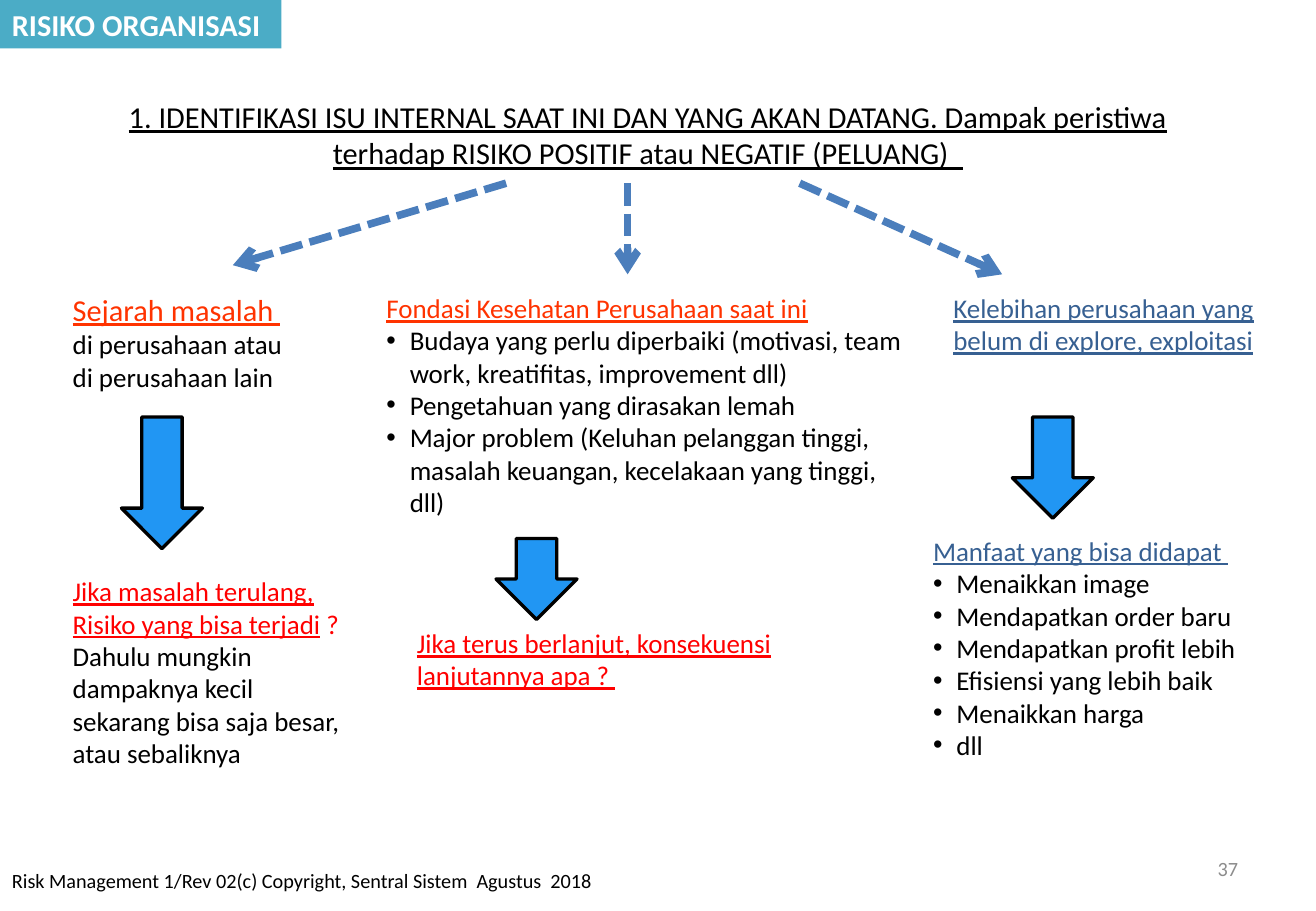
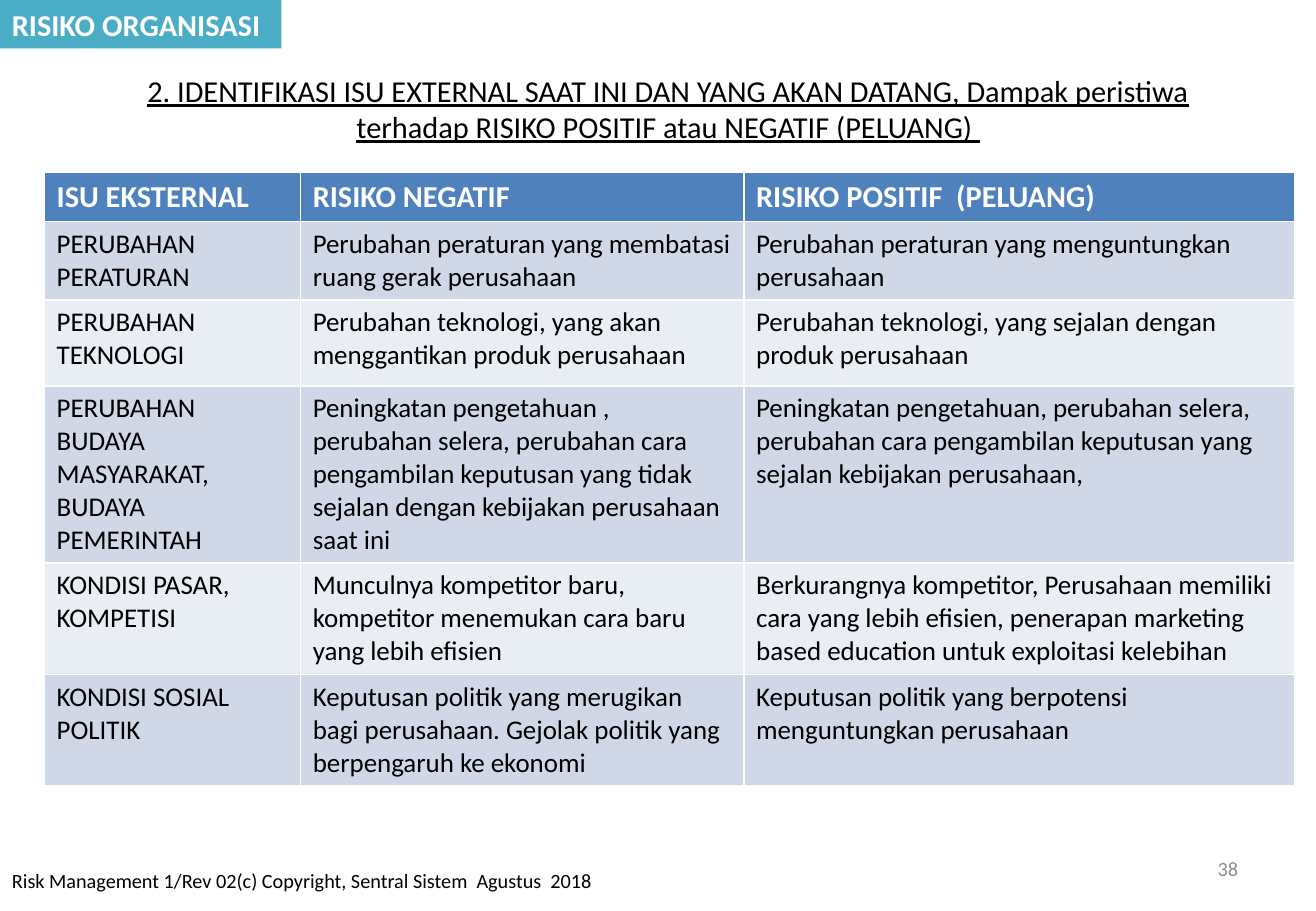
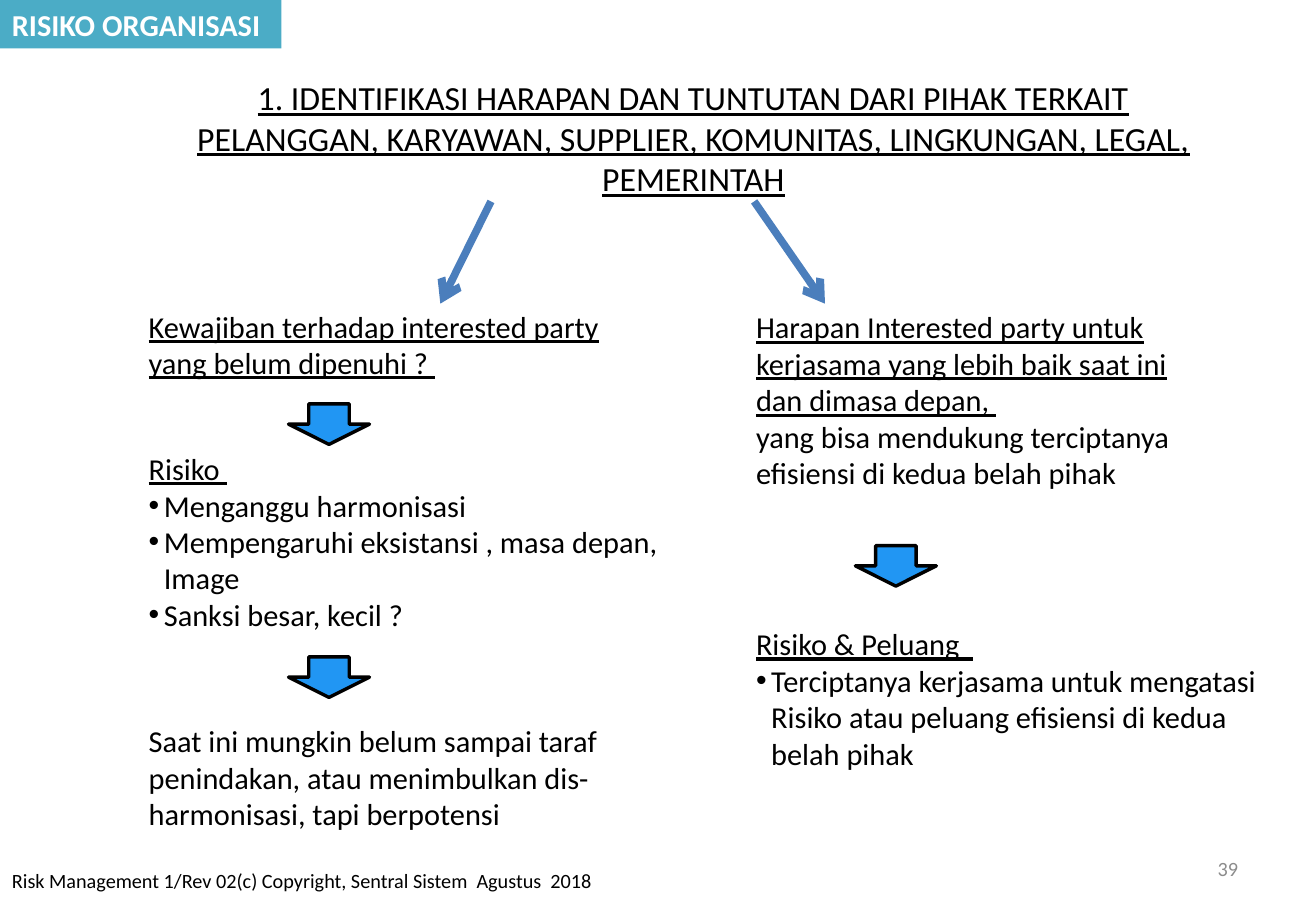
from dataclasses import dataclass

from lxml.etree import SubElement
from pptx import Presentation
from pptx.dml.color import RGBColor
from pptx.enum.dml import MSO_LINE
from pptx.enum.shapes import MSO_CONNECTOR, MSO_SHAPE
from pptx.enum.text import MSO_ANCHOR, MSO_AUTO_SIZE, PP_ALIGN
from pptx.oxml.ns import qn
from pptx.util import Emu, Pt

EMU_PER_PX = 7620  # 120 px to the inch
SLIDE_WIDTH, SLIDE_HEIGHT = 1300, 900
FONT = "Calibri"
BLACK, WHITE, GREY = "000000", "FFFFFF", "8C8C8C"
ORANGE, RED, NAVY = "FF3300", "FF0000", "376092"
BAND_TEAL, ARROW_BLUE, CONNECTOR_BLUE = "4BACC6", "2196F3", "4B7EBC"
HEADER_BLUE, ROW_FILLS = "4F81BD", ("E9EDF4", "D0D8E8")
BAND_TEXT = "RISIKO ORGANISASI"
FOOTER_TEXT = "Risk Management 1/Rev 02(c) Copyright, Sentral Sistem  Agustus  2018"
ARROW_WIDTH = 80


@dataclass(frozen=True)
class Box:
    left: int
    top: int
    width: int
    height: int

    def emu(self) -> tuple:
        return tuple(px(n) for n in (self.left, self.top, self.width, self.height))


@dataclass(frozen=True)
class Line:
    """One paragraph; the suffix is a second run without underline."""
    text: str
    color: str = BLACK
    size: int = 16
    underline: bool = False
    indent: int = 0
    suffix: str = ""


@dataclass(frozen=True)
class TextBlock:
    box: Box
    lines: list


@dataclass(frozen=True)
class DownArrow:
    left: int
    top: int
    height: int = 40


@dataclass(frozen=True)
class Pointer:
    start: tuple
    end: tuple


def px(length: int) -> Emu:
    return Emu(length * EMU_PER_PX)


def color_of(hex_color: str) -> RGBColor:
    return RGBColor.from_string(hex_color)


def add_run(paragraph, text: str, *, size: int = 16, color: str = BLACK,
            bold: bool = False, underline: bool = False) -> None:
    run = paragraph.add_run()
    run.text = text
    font = run.font
    font.name, font.size = FONT, Pt(size)
    font.bold, font.underline = bold, underline
    font.color.rgb = color_of(color)


def set_text(frame, text: str, *, align=PP_ALIGN.LEFT, anchor=MSO_ANCHOR.TOP,
             wrap: bool = True, **run_format) -> None:
    frame.word_wrap, frame.auto_size = wrap, MSO_AUTO_SIZE.NONE
    frame.vertical_anchor = anchor
    frame.paragraphs[0].alignment = align
    add_run(frame.paragraphs[0], text, **run_format)


def set_bullet(paragraph, indent: int) -> None:
    properties = paragraph._p.get_or_add_pPr()
    properties.set("marL", str(px(indent)))
    properties.set("indent", str(-px(indent)))
    SubElement(properties, qn("a:buFont")).set("typeface", "Arial")
    SubElement(properties, qn("a:buChar")).set("char", "•")


def add_text_block(slide, block: TextBlock) -> None:
    frame = slide.shapes.add_textbox(*block.box.emu()).text_frame
    frame.word_wrap = True
    for index, line in enumerate(block.lines):
        paragraph = frame.add_paragraph() if index else frame.paragraphs[0]
        if line.indent:
            set_bullet(paragraph, line.indent)
        add_run(paragraph, line.text, size=line.size, color=line.color,
                underline=line.underline)
        if line.suffix:
            add_run(paragraph, line.suffix, size=line.size, color=line.color)


def add_filled_shape(slide, kind, box: Box, fill: str):
    shape = slide.shapes.add_shape(kind, *box.emu())
    shape.shadow.inherit = False
    shape.fill.solid()
    shape.fill.fore_color.rgb = color_of(fill)
    return shape


def add_down_arrow(slide, arrow: DownArrow) -> None:
    box = Box(arrow.left, arrow.top, ARROW_WIDTH, arrow.height)
    shape = add_filled_shape(slide, MSO_SHAPE.DOWN_ARROW, box, ARROW_BLUE)
    shape.line.color.rgb = color_of(BLACK)
    shape.line.width = Pt(2)


def add_pointer(slide, pointer: Pointer, dashed: bool) -> None:
    ends = [px(n) for n in (*pointer.start, *pointer.end)]
    connector = slide.shapes.add_connector(MSO_CONNECTOR.STRAIGHT, *ends)
    connector.line.color.rgb = color_of(CONNECTOR_BLUE)
    connector.line.width = Pt(4.5)
    if dashed:
        connector.line.dash_style = MSO_LINE.SQUARE_DOT
    SubElement(connector.line._get_or_add_ln(), qn("a:tailEnd")).set("type", "arrow")
    SubElement(connector._element.spPr, qn("a:effectLst"))


def add_base_slide(presentation, number: int, title: str, title_box: Box,
                   title_size: int = 18):
    """Add a slide with title, band, footer and page number."""
    slide = presentation.slides.add_slide(presentation.slide_layouts[5])
    heading = slide.shapes.title
    heading.left, heading.top, heading.width, heading.height = title_box.emu()
    set_text(heading.text_frame, title, align=PP_ALIGN.CENTER, size=title_size,
             underline=True)
    band = add_filled_shape(slide, MSO_SHAPE.RECTANGLE, Box(0, 0, 278, 48), BAND_TEAL)
    band.line.fill.background()
    set_text(band.text_frame, BAND_TEXT, wrap=False, size=18, color=WHITE, bold=True)
    footer = slide.shapes.add_textbox(*Box(0, 852, 770, 48).emu())
    set_text(footer.text_frame, FOOTER_TEXT, size=12)
    page = slide.shapes.add_textbox(*Box(931, 834, 304, 48).emu())
    set_text(page.text_frame, str(number), align=PP_ALIGN.RIGHT,
             anchor=MSO_ANCHOR.MIDDLE, size=12, color=GREY)
    return slide


def add_diagram(slide, blocks: list, arrows: list, pointers: list,
                dashed: bool = False) -> None:
    for block in blocks:
        add_text_block(slide, block)
    for arrow in arrows:
        add_down_arrow(slide, arrow)
    for pointer in pointers:
        add_pointer(slide, pointer, dashed)


def add_risk_table(slide, rows: list, left: int, top: int, widths: list,
                   heights: list) -> None:
    box = Box(left, top, sum(widths), sum(heights))
    table = slide.shapes.add_table(len(rows), len(widths), *box.emu()).table
    for column, width in zip(table.columns, widths):
        column.width = px(width)
    for row, height in zip(table.rows, heights):
        row.height = px(height)
    for row_index, texts in enumerate(rows):
        header = row_index == 0
        fill = HEADER_BLUE if header else ROW_FILLS[row_index % 2]
        for column_index, text in enumerate(texts):
            cell = table.cell(row_index, column_index)
            cell.fill.solid()
            cell.fill.fore_color.rgb = color_of(fill)
            add_run(cell.text_frame.paragraphs[0], text, size=18 if header else 16,
                    color=WHITE if header else BLACK, bold=header)


def heading(text: str, color: str = BLACK, size: int = 16, suffix: str = "") -> Line:
    return Line(text, color, size, underline=True, suffix=suffix)


def bullets(texts: list, size: int, indent: int) -> list:
    return [Line(text, size=size, indent=indent) for text in texts]


def build_internal_issues(presentation) -> None:
    slide = add_base_slide(
        presentation, 37,
        "1. IDENTIFIKASI ISU INTERNAL SAAT INI DAN YANG AKAN DATANG. Dampak peristiwa "
        "terhadap RISIKO POSITIF atau NEGATIF (PELUANG)  ", Box(80, 91, 1120, 85))
    blocks = [
        TextBlock(Box(60, 282, 300, 113), [
            heading("Sejarah masalah ", ORANGE, 18),
            Line("di perusahaan atau"),
            Line("di perusahaan lain")]),
        TextBlock(Box(60, 562, 290, 206), [
            heading("Jika masalah terulang, Risiko yang bisa terjadi", RED, suffix=" ?"),
            Line("Dahulu mungkin dampaknya kecil sekarang bisa saja besar, "
                 "atau sebaliknya")]),
        TextBlock(Box(370, 282, 540, 240), [
            heading("Fondasi Kesehatan Perusahaan saat ini", ORANGE),
            *bullets([
                "Budaya yang perlu diperbaiki (motivasi, team work, kreatifitas, "
                "improvement dll)",
                "Pengetahuan yang dirasakan lemah",
                "Major problem (Keluhan pelanggan tinggi, masalah keuangan, "
                "kecelakaan yang tinggi, dll)"], 16, 23)]),
        TextBlock(Box(400, 613, 450, 109), [
            heading("Jika terus berlanjut, konsekuensi lanjutannya apa ? ", RED)]),
        TextBlock(Box(930, 282, 330, 77), [
            heading("Kelebihan perusahaan yang belum di explore, exploitasi", NAVY)]),
        TextBlock(Box(910, 522, 360, 302), [
            heading("Manfaat yang bisa didapat ", NAVY),
            *bullets(["Menaikkan image", "Mendapatkan order baru",
                      "Mendapatkan profit lebih", "Efisiensi yang lebih baik",
                      "Menaikkan harga", "dll"], 16, 23)]),
    ]
    arrows = [DownArrow(120, 412, 130), DownArrow(490, 532, 80),
              DownArrow(1000, 412, 100)]
    pointers = [Pointer((500, 181), (230, 262)), Pointer((620, 181), (620, 271)),
                Pointer((790, 181), (990, 271))]
    add_diagram(slide, blocks, arrows, pointers, dashed=True)


def build_external_issues(presentation) -> None:
    slide = add_base_slide(
        presentation, 38,
        "2. IDENTIFIKASI ISU EXTERNAL SAAT INI DAN YANG AKAN DATANG, Dampak peristiwa "
        "terhadap RISIKO POSITIF atau NEGATIF (PELUANG) ", Box(100, 65, 1120, 85))
    rows = [
        ("ISU EKSTERNAL", "RISIKO NEGATIF", "RISIKO POSITIF  (PELUANG)"),
        ("PERUBAHAN PERATURAN",
         "Perubahan peraturan yang membatasi ruang gerak perusahaan",
         "Perubahan peraturan yang menguntungkan perusahaan"),
        ("PERUBAHAN TEKNOLOGI",
         "Perubahan teknologi, yang akan menggantikan produk perusahaan",
         "Perubahan teknologi, yang sejalan dengan produk perusahaan"),
        ("PERUBAHAN BUDAYA MASYARAKAT, BUDAYA PEMERINTAH",
         "Peningkatan pengetahuan , perubahan selera, perubahan cara pengambilan "
         "keputusan yang tidak sejalan dengan kebijakan perusahaan saat ini",
         "Peningkatan pengetahuan, perubahan selera, perubahan cara pengambilan "
         "keputusan yang sejalan kebijakan perusahaan,"),
        ("KONDISI PASAR, KOMPETISI",
         "Munculnya kompetitor baru, kompetitor menemukan cara baru yang lebih efisien",
         "Berkurangnya kompetitor, Perusahaan memiliki cara yang lebih efisien, "
         "penerapan marketing based education untuk exploitasi kelebihan"),
        ("KONDISI SOSIAL POLITIK",
         "Keputusan politik yang merugikan bagi perusahaan. Gejolak politik yang "
         "berpengaruh ke ekonomi",
         "Keputusan politik yang berpotensi menguntungkan perusahaan"),
    ]
    add_risk_table(slide, rows, 44, 170, [253, 438, 544], [49, 75, 85, 172, 108, 108])


def build_stakeholder_needs(presentation) -> None:
    slide = add_base_slide(
        presentation, 39,
        "1. IDENTIFIKASI HARAPAN DAN TUNTUTAN DARI PIHAK TERKAIT PELANGGAN, KARYAWAN, "
        "SUPPLIER, KOMUNITAS, LINGKUNGAN, LEGAL, PEMERINTAH",
        Box(155, 70, 1060, 133), title_size=20)
    blocks = [
        TextBlock(Box(135, 298, 500, 85), [
            heading("Kewajiban terhadap interested party yang belum dipenuhi ? ",
                    size=18)]),
        TextBlock(Box(135, 439, 560, 194), [
            heading("Risiko ", size=18),
            *bullets(["Menganggu harmonisasi",
                      "Mempengaruhi eksistansi , masa depan, Image",
                      "Sanksi besar, kecil ?"], 18, 15)]),
        TextBlock(Box(135, 708, 560, 121), [
            Line("Saat ini mungkin belum sampai taraf penindakan, atau menimbulkan "
                 "dis-harmonisasi, tapi berpotensi", size=18)]),
        TextBlock(Box(735, 299, 440, 194), [
            heading("Harapan Interested party untuk kerjasama yang lebih baik saat ini "
                    "dan dimasa depan, ", size=18),
            Line("yang bisa mendukung terciptanya efisiensi di kedua belah pihak",
                 size=18)]),
        TextBlock(Box(735, 612, 560, 157), [
            heading("Risiko & Peluang  ", size=18),
            *bullets(["Terciptanya kerjasama untuk mengatasi Risiko atau peluang "
                      "efisiensi di kedua belah pihak"], 18, 15)]),
    ]
    arrows = [DownArrow(285, 399), DownArrow(285, 649), DownArrow(845, 539)]
    pointers = [Pointer((485, 199), (435, 300)), Pointer((745, 199), (815, 300))]
    add_diagram(slide, blocks, arrows, pointers)


def main() -> None:
    presentation = Presentation()
    presentation.slide_width = px(SLIDE_WIDTH)
    presentation.slide_height = px(SLIDE_HEIGHT)
    build_internal_issues(presentation)
    build_external_issues(presentation)
    build_stakeholder_needs(presentation)
    presentation.save("out.pptx")


if __name__ == "__main__":
    main()
